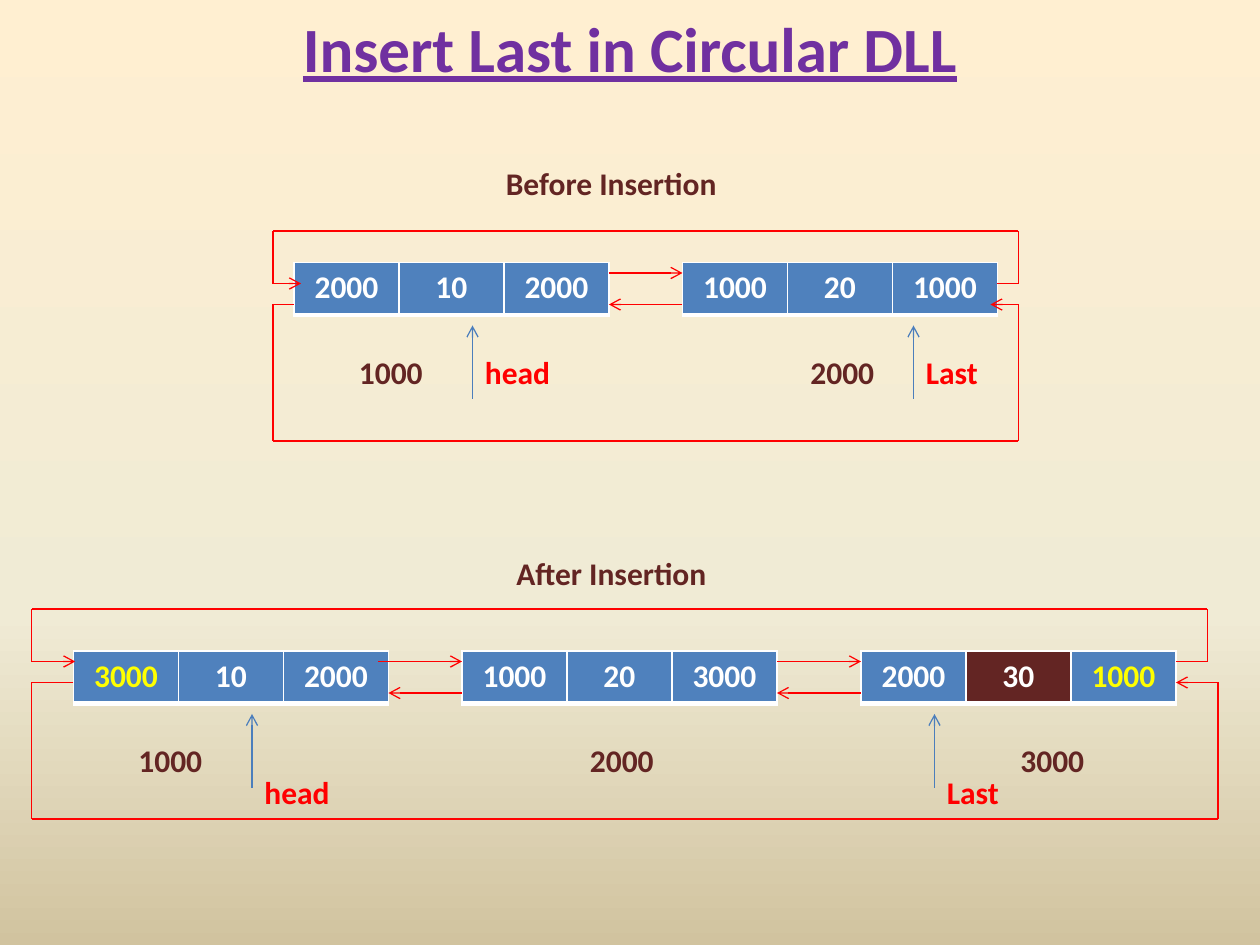
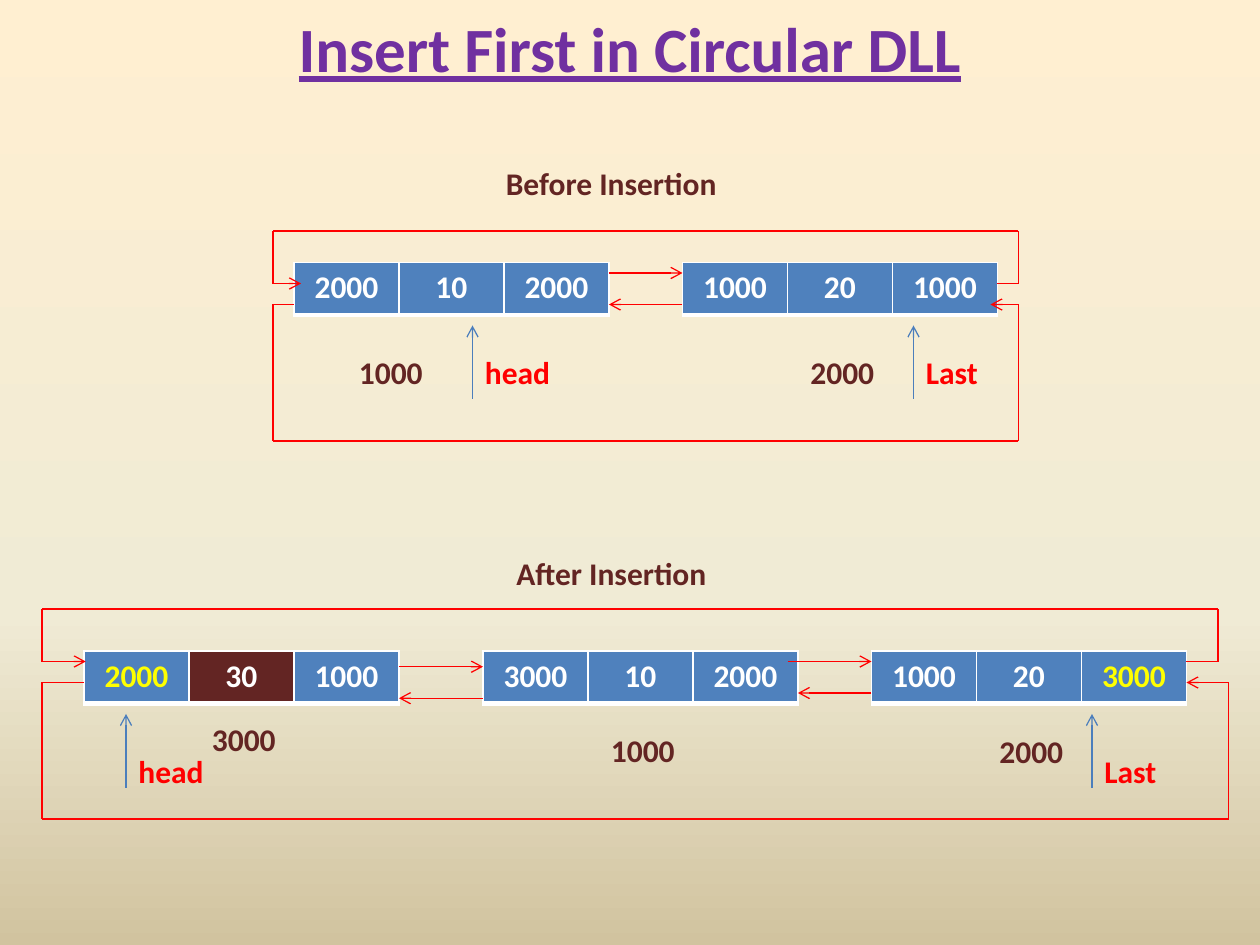
from copy import deepcopy
from itertools import pairwise

from lxml import etree
from pptx import Presentation
from pptx.dml.color import RGBColor
from pptx.enum.shapes import MSO_CONNECTOR
from pptx.enum.text import MSO_ANCHOR, MSO_AUTO_SIZE, PP_ALIGN
from pptx.oxml.ns import qn
from pptx.util import Pt

STRAIGHT = MSO_CONNECTOR.STRAIGHT
CENTER = PP_ALIGN.CENTER
MIDDLE = MSO_ANCHOR.MIDDLE
NO_FIT = MSO_AUTO_SIZE.NONE
GROW = MSO_AUTO_SIZE.SHAPE_TO_FIT_TEXT

# Shared style
FONT = "Calibri"
TITLE_ONLY = 5
PURPLE, BROWN, RED = "7030A0", "632523", "FF0000"
WHITE, YELLOW = "FFFFFF", "FFFF00"
CELL_BLUE, POINTER_BLUE = "4F81BD", "4B7EBC"
BACKGROUND = [(0, "FFEFD1"), (0.65, "F0EBD5"), (1, "D1C39F")]
BORDERS = [("lnL", 1), ("lnR", 1), ("lnT", 1), ("lnB", 3)]

# Node geometry in points
NODE_WIDTH, NODE_HEIGHT = 180, 30
BEFORE_TOP, AFTER_TOP = 150, 372
BEFORE_LOOP, AFTER_LOOP = 132, 348


def rgb(color):
    return RGBColor.from_string(color)


def add_run(para, text, color, size=18, underline=None):
    span = para.add_run()
    span.text = text
    font = span.font
    font.name, font.size, font.bold = FONT, Pt(size), True
    font.underline = underline
    font.color.rgb = rgb(color)


def paint_background(master):
    fill = master.background.fill
    fill.gradient()
    fill.gradient_angle = 270
    stop_list = master.element.find(".//" + qn("a:gsLst"))
    stop_list.append(deepcopy(stop_list[-1]))
    for stop, (position, color) in zip(fill.gradient_stops, BACKGROUND):
        stop.position = position
        stop.color.rgb = rgb(color)


def add_title(page, text):
    title = page.shapes.title
    title.left, title.top, title.width, title.height = Pt(36), Pt(-18), Pt(648), Pt(90)
    frame = title.text_frame
    frame.auto_size, frame.vertical_anchor = NO_FIT, MIDDLE
    para = frame.paragraphs[0]
    para.alignment = CENTER
    add_run(para, text, PURPLE, 36, True)


def add_label(page, text, left, top, color=BROWN, width=60):
    box = page.shapes.add_textbox(Pt(left), Pt(top), Pt(width), Pt(29))
    frame = box.text_frame
    frame.word_wrap, frame.auto_size = True, GROW
    add_run(frame.paragraphs[0], text, color)


def add_line(shapes, start, end, color=RED, arrow=True):
    line = shapes.add_connector(STRAIGHT, *map(Pt, start + end))
    line.line.color.rgb = rgb(color)
    line.line.width = Pt(0.75)
    properties = line.element.spPr
    if arrow:
        outline = properties.find(qn("a:ln"))
        etree.SubElement(outline, qn("a:tailEnd"), type="arrow")
    etree.SubElement(properties, qn("a:effectLst"))


def add_route(page, points):
    """Draw a grouped chain of lines with an arrowhead at its end."""
    group = page.shapes.add_group_shape()
    legs = list(pairwise(points))
    for number, (start, end) in enumerate(legs, 1):
        add_line(group.shapes, start, end, arrow=number == len(legs))


def add_borders(cell):
    properties = cell._tc.get_or_add_tcPr()
    for index, (side, width) in enumerate(BORDERS):
        border = etree.Element(qn("a:" + side), w=str(Pt(width)))
        fill = etree.SubElement(border, qn("a:solidFill"))
        etree.SubElement(fill, qn("a:srgbClr"), val=WHITE)
        properties.insert(index, border)


def add_node(page, left, top, values, changed=None, new=False):
    """Draw previous, data and next; changed is the index of the yellow value."""
    table = page.shapes.add_table(
        1, 3, Pt(left), Pt(top), Pt(NODE_WIDTH), Pt(NODE_HEIGHT)).table
    table.first_row = table.horz_banding = False
    for index, value in enumerate(values):
        cell = table.cell(0, index)
        cell.fill.solid()
        cell.fill.fore_color.rgb = rgb(BROWN if new and index == 1 else CELL_BLUE)
        add_borders(cell)
        para = cell.text_frame.paragraphs[0]
        para.alignment = CENTER
        add_run(para, str(value), YELLOW if index == changed else WHITE)


def add_links(page, left, right, top, overlap=0, drop=6):
    """Join two neighbouring nodes in both directions."""
    end = left + NODE_WIDTH
    add_line(page.shapes, (end - overlap, top + drop), (right, top + drop))
    add_line(page.shapes, (right, top + drop + 18), (end, top + drop + 18))


def add_pointer(page, text, x, bottom, label_top):
    add_line(page.shapes, (x, bottom), (x, bottom - 42), POINTER_BLUE)
    add_label(page, text, x, label_top, RED)


def add_loops(page, first, last, top, margin, upper_margin, head_tip, last_tip):
    """Close the circle above (last to first) and below (first to last)."""
    end = last + NODE_WIDTH
    outer_left, upper_right, lower_right = first - margin, end + upper_margin, end + margin
    upper, lower, bottom = top + 30, top + 42, top + 120
    add_route(page, [(end, upper), (upper_right, upper), (upper_right, top),
                     (outer_left, top), (outer_left, upper), (first + head_tip, upper)])
    add_route(page, [(first, lower), (outer_left, lower), (outer_left, bottom),
                     (lower_right, bottom), (lower_right, lower), (end - last_tip, lower)])


def draw_before(page):
    first, last = 168, 390
    add_label(page, "Before Insertion", 282, 90, width=156)
    add_node(page, first, BEFORE_TOP, (2000, 10, 2000))
    add_node(page, last, BEFORE_TOP, (1000, 20, 1000))
    add_links(page, first, last, BEFORE_TOP)
    add_label(page, "1000", 198, 198)
    add_label(page, "2000", 456, 198)
    add_pointer(page, "head", 270, 228, 198)
    add_pointer(page, "Last", 522, 228, 198)
    add_loops(page, first, last, BEFORE_LOOP, 12, 12, 4, 4)


def draw_after(page, nodes, links, addresses, pointers):
    add_label(page, "After Insertion", 288, 313, width=156)
    lefts = [node[0] for node in nodes]
    for left, *content in nodes:
        add_node(page, left, AFTER_TOP, *content)
    for (left, right), (overlap, drop) in zip(pairwise(lefts), links):
        add_links(page, left, right, AFTER_TOP, overlap, drop)
    for address in addresses:
        add_label(page, *address)
    for text, x, label_top in pointers:
        add_pointer(page, text, x, 450, label_top)
    add_loops(page, lefts[0], lefts[-1], AFTER_LOOP, 24, 18, 1, 0)


# Title and result of each insertion
INSERTIONS = [
    ("Insert Last in Circular DLL", dict(
        nodes=[(42, (3000, 10, 2000), 0),
               (264, (1000, 20, 3000)),
               (492, (2000, 30, 1000), 2, True)],
        links=[(6, 6), (0, 6)],
        addresses=[("1000", 72, 420), ("2000", 330, 420), ("3000", 576, 420)],
        pointers=[("head", 144, 438), ("Last", 534, 438)])),
    ("Insert First in Circular DLL", dict(
        nodes=[(48, (2000, 30, 1000), 0, True),
               (276, (3000, 10, 2000)),
               (498, (1000, 20, 3000), 2)],
        links=[(0, 9), (6, 6)],
        addresses=[("3000", 114, 408), ("1000", 342, 414), ("2000", 564, 414.5)],
        pointers=[("head", 72, 426), ("Last", 624, 426)])),
]


def main():
    deck = Presentation()
    deck.slide_width, deck.slide_height = Pt(720), Pt(540)
    paint_background(deck.slide_master)
    for title, result in INSERTIONS:
        page = deck.slides.add_slide(deck.slide_layouts[TITLE_ONLY])
        add_title(page, title)
        draw_before(page)
        draw_after(page, **result)
    deck.save("out.pptx")


if __name__ == "__main__":
    main()
